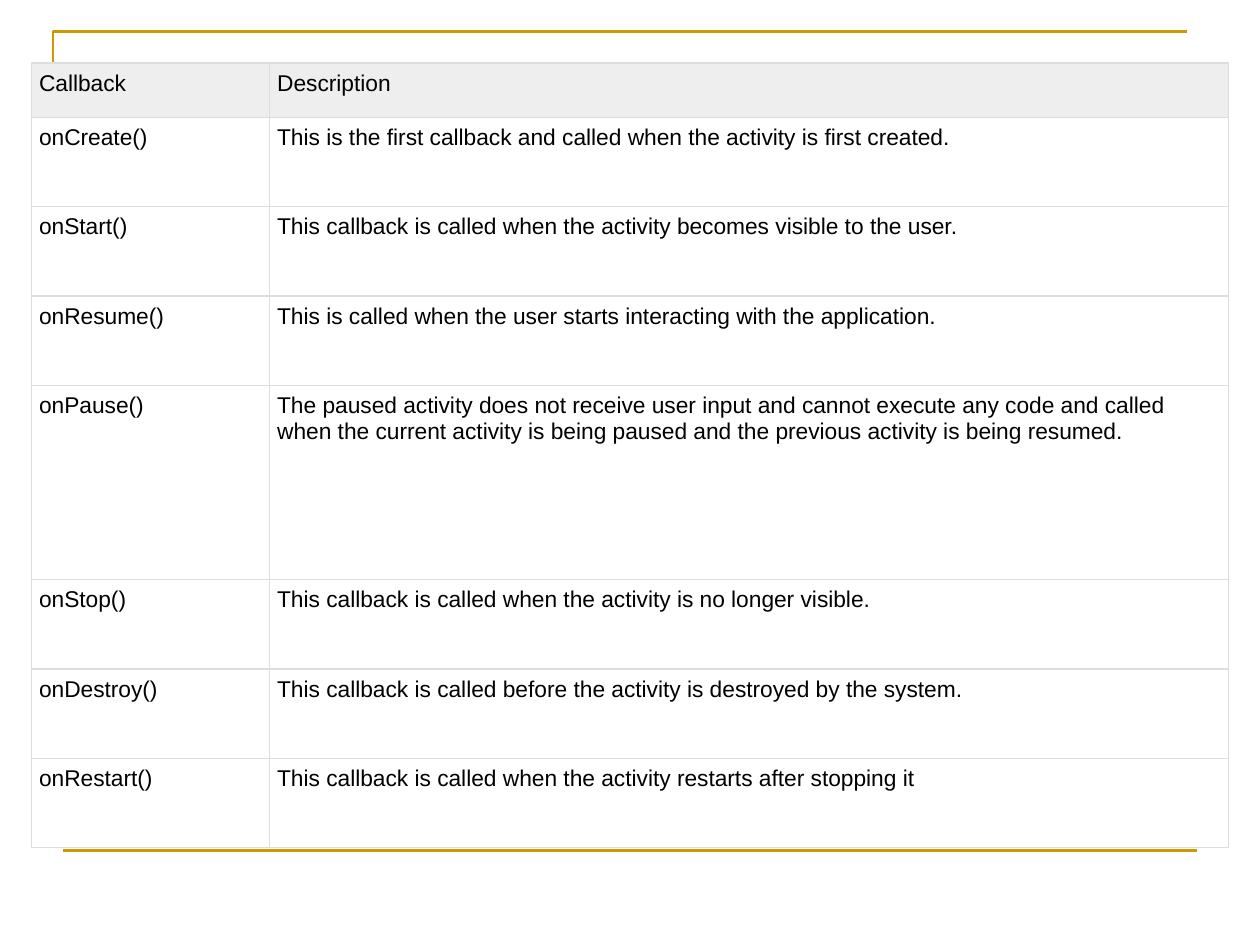
import dataclasses

import lxml.etree
import pptx
import pptx.dml.color
import pptx.enum.shapes
import pptx.oxml.ns
import pptx.shapes.autoshape
import pptx.slide
import pptx.table
import pptx.util

Inches = pptx.util.Inches
Pt = pptx.util.Pt
qn = pptx.oxml.ns.qn


@dataclasses.dataclass(frozen=True)
class Theme:
    gold: str = "CC9900"
    grid: str = "DDDDDD"
    head: str = "EEEEEE"
    plain: str = "FFFFFF"
    ink: str = "000000"
    font: str = "Arial"
    size: float = 13
    rule: float = 1.5
    edge: float = 0.75


@dataclasses.dataclass(frozen=True)
class Row:
    name: str
    text: str
    high: float = 0.71


THEME = Theme()
WIDTHS = (1.89, 7.61)
PAD = 0.06
ROWS = (
    Row("Callback", "Description", 0.43),
    Row("onCreate()", "This is the first callback and called when the activity is first created."),
    Row("onStart()", "This callback is called when the activity becomes visible to the user."),
    Row("onResume()", "This is called when the user starts interacting with the application."),
    Row(
        "onPause()",
        "The paused activity does not receive user input and cannot execute any code and called "
        "when the current activity is being paused and the previous activity is being resumed.",
        1.54,
    ),
    Row("onStop()", "This callback is called when the activity is no longer visible."),
    Row("onDestroy()", "This callback is called before the activity is destroyed by the system."),
    Row("onRestart()", "This callback is called when the activity restarts after stopping it"),
)


def tint(code: str) -> pptx.dml.color.RGBColor:
    return pptx.dml.color.RGBColor.from_string(code)


def draw_frame(slide: pptx.slide.Slide) -> None:
    pen = slide.shapes.build_freeform(Inches(0.42), Inches(0.92))
    pen.add_line_segments(
        [(Inches(0.42), Inches(0.25)), (Inches(9.42), Inches(0.25))], close=False
    )
    top = pen.convert_to_shape()
    top.fill.background()
    top.shadow.inherit = False
    base = slide.shapes.add_connector(
        pptx.enum.shapes.MSO_CONNECTOR.STRAIGHT,
        Inches(0.5), Inches(6.75), Inches(9.5), Inches(6.75),
    )
    lxml.etree.SubElement(base._element.spPr, qn("a:effectLst"))
    for shape in (top, base):
        shape.line.color.rgb = tint(THEME.gold)
        shape.line.width = Pt(THEME.rule)


def draw_edge(cell: pptx.table._Cell) -> None:
    props = cell._tc.get_or_add_tcPr()
    for spot, side in enumerate(("lnL", "lnR", "lnT", "lnB")):
        line = lxml.etree.Element(qn(f"a:{side}"), w=str(Pt(THEME.edge)))
        fill = lxml.etree.SubElement(line, qn("a:solidFill"))
        lxml.etree.SubElement(fill, qn("a:srgbClr"), val=THEME.grid)
        props.insert(spot, line)


def fill_cell(cell: pptx.table._Cell, text: str, back: str) -> None:
    cell.text = text
    cell.margin_left = cell.margin_right = Inches(PAD)
    cell.margin_top = cell.margin_bottom = Inches(PAD)
    cell.fill.solid()
    cell.fill.fore_color.rgb = tint(back)
    font = cell.text_frame.paragraphs[0].font
    font.name = THEME.font
    font.size = Pt(THEME.size)
    font.bold = False
    font.color.rgb = tint(THEME.ink)
    draw_edge(cell)


def draw_table(slide: pptx.slide.Slide) -> None:
    high = sum(row.high for row in ROWS)
    table = slide.shapes.add_table(
        len(ROWS), len(WIDTHS),
        Inches(0.25), Inches(0.5), Inches(sum(WIDTHS)), Inches(high),
    ).table
    table.horz_banding = False
    for column, width in zip(table.columns, WIDTHS):
        column.width = Inches(width)
    for index, row in enumerate(ROWS):
        table.rows[index].height = Inches(row.high)
        back = THEME.plain if index else THEME.head
        for cell, text in zip(table.rows[index].cells, (row.name, row.text)):
            fill_cell(cell, text, back)


def main() -> None:
    deck = pptx.Presentation()
    deck.slide_width = Inches(10)
    deck.slide_height = Inches(7.5)
    slide = deck.slides.add_slide(deck.slide_layouts[6])
    draw_frame(slide)
    draw_table(slide)
    deck.save("out.pptx")


if __name__ == "__main__":
    main()
